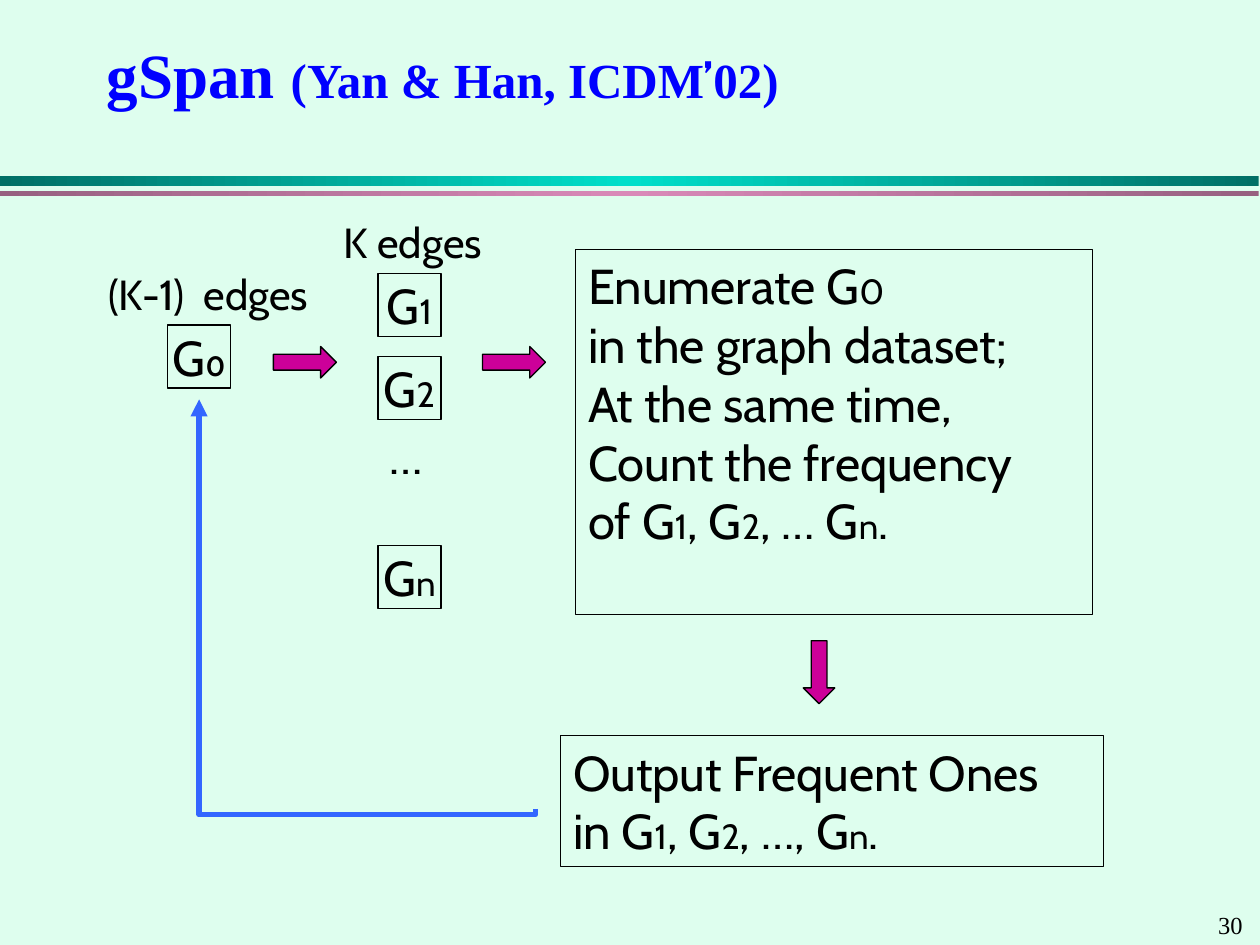
"""Build the gSpan slide: flow from G0 through its extensions to frequent graphs."""
import copy

import lxml.etree
import pptx
import pptx.dml.color
import pptx.enum.shapes
import pptx.enum.text
import pptx.oxml.ns
import pptx.util

Inches = pptx.util.Inches
Pt = pptx.util.Pt
RGBColor = pptx.dml.color.RGBColor
Kind = pptx.enum.shapes.MSO_SHAPE
Align = pptx.enum.text.PP_ALIGN
Anchor = pptx.enum.text.MSO_ANCHOR
qn = pptx.oxml.ns.qn

MINT = RGBColor(0xDE, 0xFE, 0xEE)
BLACK = RGBColor(0, 0, 0)
BLUE = RGBColor(0, 0, 0xFF)
SKY = RGBColor(0x33, 0x66, 0xFF)
PINK = RGBColor(0xCC, 0, 0x99)
TEAL = RGBColor(0, 0x6F, 0x65)
AQUA = RGBColor(0, 0xDF, 0xCA)
PLUM = RGBColor(0x97, 0x60, 0x80)
ROSE = RGBColor(0xD9, 0x89, 0xB8)
SANS = "Cabin"
SERIF = "Times New Roman"

deck = pptx.Presentation()
deck.slide_width = Inches(10)
deck.slide_height = Inches(7.5)
slide = deck.slides.add_slide(deck.slide_layouts[6])
slide.background.fill.solid()
slide.background.fill.fore_color.rgb = MINT
shapes = slide.shapes


def draw(kind, left, top, width, height):
    shape = shapes.add_shape(
        kind, Inches(left), Inches(top), Inches(width), Inches(height))
    shape.shadow.inherit = False
    shape.fill.background()
    shape.line.color.rgb = BLACK
    shape.line.width = Pt(0.75)
    return shape


def write(shape, lines, big, small=20, face=SANS, color=BLACK):
    frame = shape.text_frame
    frame.word_wrap = True
    frame.vertical_anchor = Anchor.TOP
    for row, line in enumerate(lines):
        para = frame.add_paragraph() if row else frame.paragraphs[0]
        para.alignment = Align.LEFT
        for spot, part in enumerate(line.split("|")):
            run = para.add_run()
            run.text = part
            run.font.size = Pt(small if spot % 2 else big)
            run.font.name = face
            run.font.color.rgb = color
    return frame


for top, height, edge, glow in [(1.4, 0.08, TEAL, AQUA), (1.52, 0.04, PLUM, ROSE)]:
    band = draw(Kind.RECTANGLE, 0, top, 9.99, height)
    band.line.fill.background()
    band.fill.gradient()
    band.fill.gradient_angle = 0
    stops = band._element.spPr.find(".//" + qn("a:gsLst"))
    stops.insert(1, copy.deepcopy(stops[0]))
    for stop, place, color in zip(band.fill.gradient_stops, (0, 0.5, 1), (edge, glow, edge)):
        stop.position = place
        stop.color.rgb = color

title = shapes.add_textbox(Inches(0.75), Inches(0.25), Inches(8.52), Inches(0.67))
frame = write(title, ["gSpan |(Yan & Han, ICDM|’|02)"], 28, 28, SERIF, BLUE)
frame.vertical_anchor = Anchor.MIDDLE
runs = frame.paragraphs[0].runs
runs[0].font.size = Pt(36)
for run in runs:
    run.font.bold = True
runs[2].font.name = SANS

for text, left, top, width, height, size, face in [
    ("30", 9.57, 7.17, 0.43, 0.34, 14, SERIF),
    ("(K-1)  edges", 0.76, 2.08, 2.02, 0.5, 24, SANS),
    ("K edges", 2.63, 1.67, 1.44, 0.5, 24, SANS),
    ("…", 2.99, 3.33, 0.5, 0.57, 28, SANS),
]:
    label = shapes.add_textbox(Inches(left), Inches(top), Inches(width), Inches(height))
    write(label, [text], size, face=face)

for text, left, top, small in [
    ("G|0", 1.33, 2.58, 16),
    ("G|1", 3, 2.17, 20),
    ("G|2", 3, 2.83, 20),
    ("G|n", 3, 4.33, 20),
]:
    node = draw(Kind.RECTANGLE, left, top, 0.5, 0.5)
    frame = write(node, [text], 28, small)
    frame.word_wrap = False
    frame.vertical_anchor = Anchor.MIDDLE
    frame.paragraphs[0].alignment = Align.CENTER
    frame.paragraphs[0].runs[1].font.bold = small == 16

for left, top, turn in [(2.17, 2.75, 0), (3.83, 2.75, 0), (6.25, 5.21, 90)]:
    arrow = draw(Kind.RIGHT_ARROW, left, top, 0.5, 0.25)
    arrow.rotation = turn
    arrow.fill.solid()
    arrow.fill.fore_color.rgb = PINK

count = draw(Kind.RECTANGLE, 4.57, 1.98, 4.1, 2.9)
write(count, [
    "Enumerate G|0",
    "in the graph dataset;",
    "At the same time,",
    "Count the frequency",
    "of G|1|, G|2|, … G|n|.",
], 28)

result = draw(Kind.RECTANGLE, 4.45, 5.84, 4.31, 1.04)
write(result, ["Output Frequent Ones", "in G|1|, G|2|, …, G|n|."], 28)

loop = shapes.add_connector(
    pptx.enum.shapes.MSO_CONNECTOR.ELBOW,
    Inches(1.29), Inches(6.13), Inches(4.54), Inches(3.46))
loop.line.color.rgb = SKY
loop.line.width = Pt(3.25)
props = loop._element.spPr
props.find(qn("a:xfrm")).set("rot", str(270 * 60000))
guides = props.find(qn("a:prstGeom")).find(qn("a:avLst"))
lxml.etree.SubElement(guides, qn("a:gd"), name="adj1", fmla="val -1400")
lxml.etree.SubElement(props.find(qn("a:ln")), qn("a:tailEnd"), type="triangle")
lxml.etree.SubElement(props, qn("a:effectLst"))

deck.save("out.pptx")
